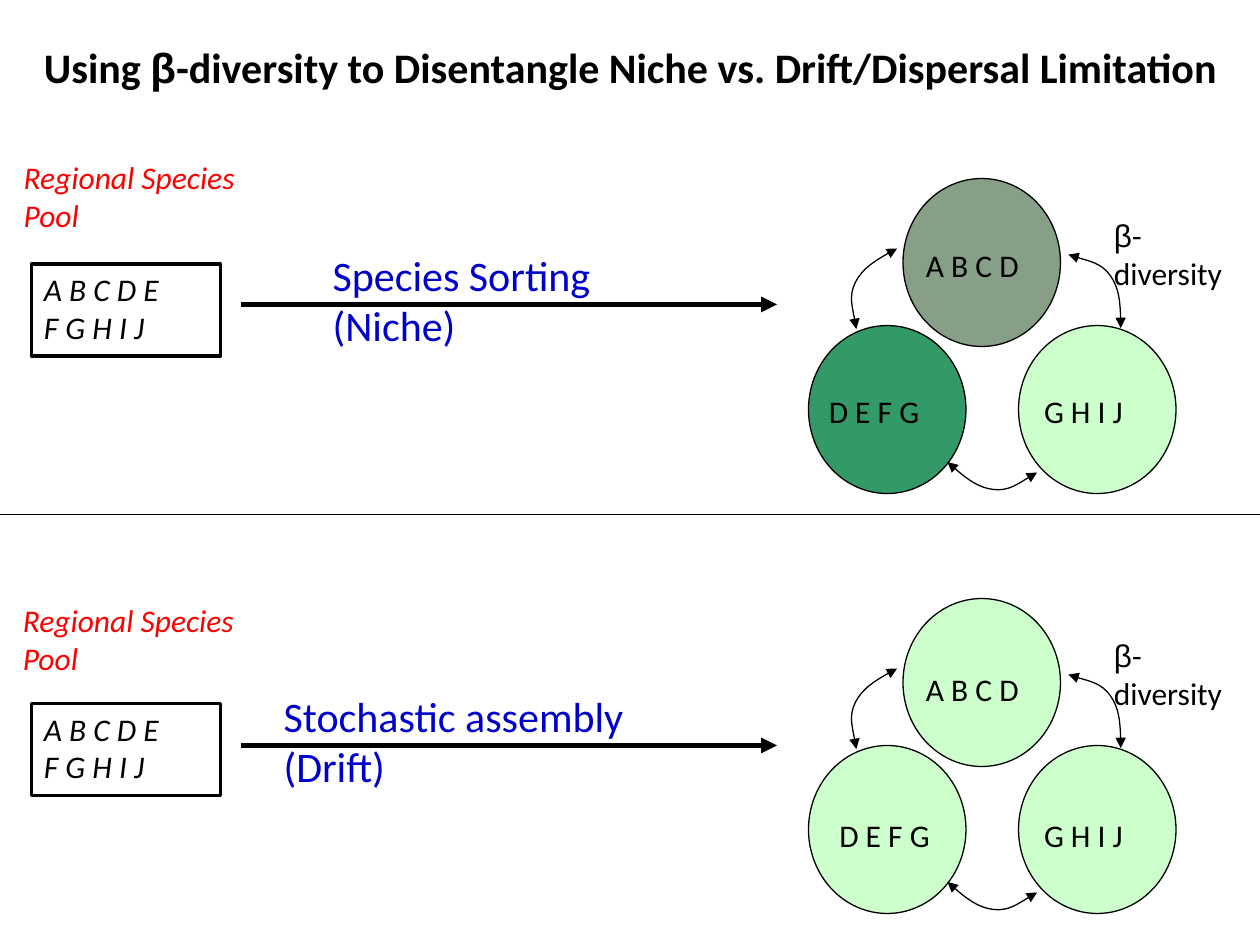
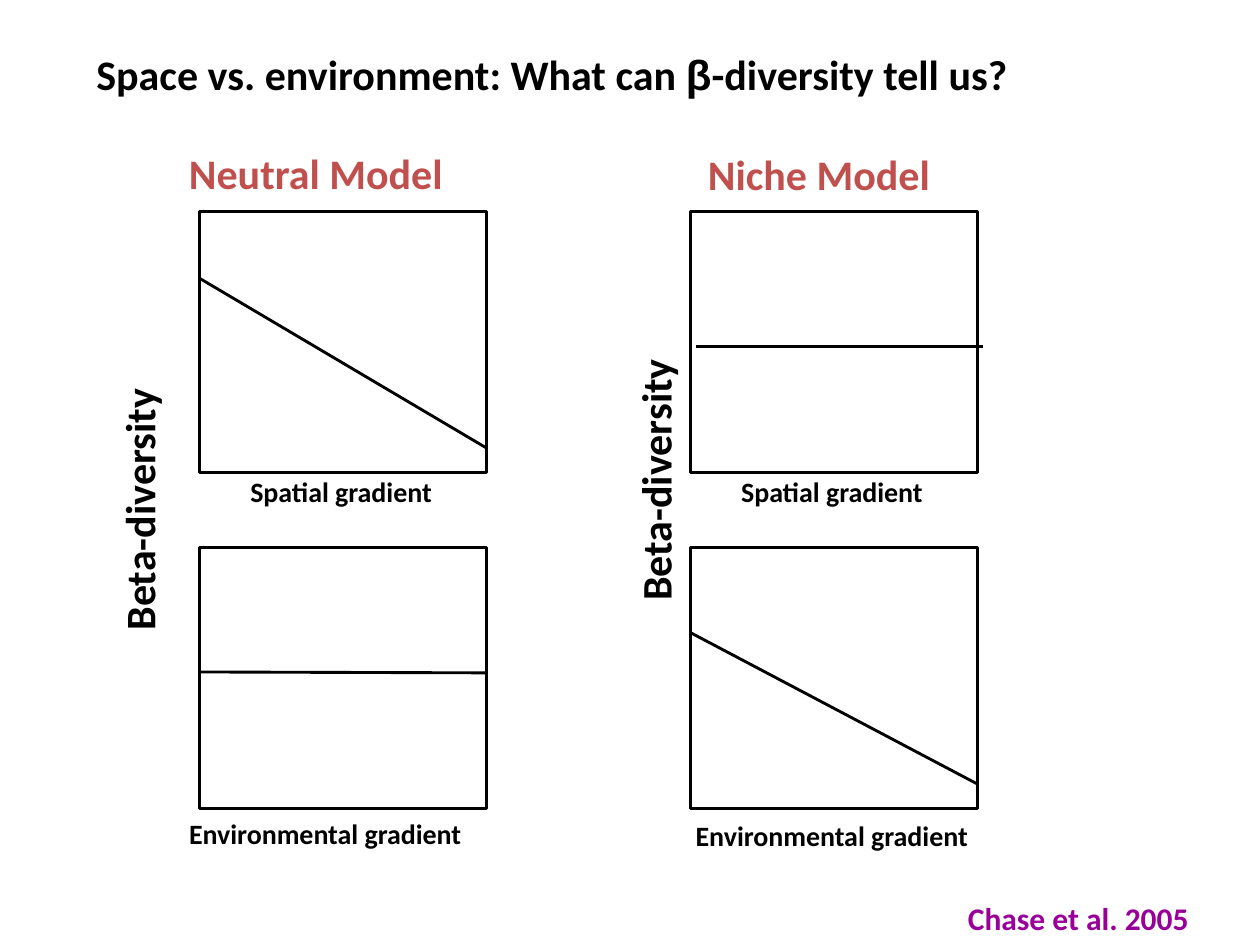
from lxml import etree
from pptx import Presentation
from pptx.dml.color import RGBColor
from pptx.enum import shapes, text
from pptx.oxml import ns
from pptx.util import Pt

BLACK = RGBColor(0x00, 0x00, 0x00)
RED = RGBColor(0xFF, 0x00, 0x00)
BLUE = RGBColor(0x00, 0x00, 0xCC)
BRICK = RGBColor(0xC0, 0x50, 0x4D)
PURPLE = RGBColor(0x99, 0x00, 0x99)
DARK_GREEN = RGBColor(0x00, 0x33, 0x00)
MID_GREEN = RGBColor(0x33, 0x99, 0x66)
PALE_GREEN = RGBColor(0xCC, 0xFF, 0xCC)

FONT, GREEK_FONT = "Calibri", "Arial"

# Content of slide 1: two assembly processes, one per half
SORTING_TITLE = "Using β-diversity to Disentangle Niche vs. Drift/Dispersal Limitation"
POOL_NAME = ["Regional Species", "Pool"]
POOL_SPECIES = ["A B C D E", "F G H I J"]
PROCESSES = [
    dict(name=["Species Sorting", "(Niche)"], name_at=(183, 139, 196), arrow_y=174,
         pool_name_at=(6.5, 87), pool_top=151, sites_top=102, names_top=137, names_left=466.5,
         fills=[(DARK_GREEN, 47), (PALE_GREEN, 100), (MID_GREEN, 100)]),
    dict(name=["Stochastic assembly", "(Drift)"], name_at=(155, 391, 252), arrow_y=426,
         pool_name_at=(6, 340), pool_top=402, sites_top=342, names_top=379.5, names_left=472.5,
         fills=[(PALE_GREEN, 100)] * 3),
]

# Site circles (left, drop below the top circle); exchange arcs (left, drop, rotation)
SITE_SIZE = (90, 96)
SITES = [(516, 0), (582, 84), (462, 84)]
ARC = [(0, 0), (9, 3), (19, 5), (24, 12), (29, 19), (29.5, 30), (30, 42)]
ARC_PLACES = [(610.5, 43.5, 0), (552, 144, 132.2), (486, 42, 242.4)]

# Content of slide 2: each plot has its line as (inset, start drop, end drop)
MODELS_TITLE = "Space vs. environment: What can β-diversity tell us?"
SOURCE = "Chase et al. 2005"
AXIS = "Beta-diversity"
GRADIENTS = [("Spatial gradient", 120), ("Environmental gradient", 178.5)]
PLOT_SIZE = (164, 149)
PLOT_TOPS = [121, 313]
MODELS = [
    dict(name="Neutral Model", name_at=(108, 84, 158.5), align="LEFT", left=114,
         axis_at=(9.5, 276), trends=[(0, 38, 135), (0, 71, 71.5)], captions=[(143, 271), (108, 466.5)]),
    dict(name="Niche Model", name_at=(397.5, 85, 141), align="CENTER", left=394.5,
         axis_at=(304.5, 259), trends=[(3, 77, 77), (0, 48.5, 135)], captions=[(423.5, 271), (397.5, 468)]),
]


def points(*values):
    return [Pt(value) for value in values]


def write(shape, lines, size=18, color=BLACK, bold=False, italic=False,
          align="LEFT", inset=True, wrap=False):
    """Fill a shape with paragraphs, setting each β in the Greek font."""
    frame = shape.text_frame
    frame.word_wrap = wrap
    frame.auto_size = text.MSO_AUTO_SIZE.SHAPE_TO_FIT_TEXT
    frame.vertical_anchor = text.MSO_ANCHOR.TOP
    if not inset:
        frame.margin_left = frame.margin_top = frame.margin_right = frame.margin_bottom = 0
    for number, line in enumerate([lines] if isinstance(lines, str) else lines):
        paragraph = frame.add_paragraph() if number else frame.paragraphs[0]
        paragraph.alignment = getattr(text.PP_ALIGN, align)
        before, beta, after = line.partition("β")
        for part in filter(None, (before, beta, after)):
            run = paragraph.add_run()
            run.text = part
            font = run.font
            font.name = GREEK_FONT if part == "β" else FONT
            font.size, font.bold, font.italic = Pt(size), bold, italic
            font.color.rgb = color


def add_text(slide, lines, left, top, width, height, rotation=0, **style):
    box = slide.shapes.add_textbox(*points(left, top, width, height))
    box.rotation = rotation
    write(box, lines, **style)


def add_title(slide, title, left, top, width):
    add_text(slide, title, left, top, width, 36, size=24, bold=True)


def outline(shape, weight):
    shape.line.color.rgb = BLACK
    shape.line.width = Pt(weight)


def add_arrowheads(shape, *ends):
    line = shape.line._get_or_add_ln()
    for end in ends:
        etree.SubElement(line, ns.qn(f"a:{end}"), type="triangle")


def add_shape(slide, kind, left, top, width, height, weight, fill=None, opacity=100):
    shape = slide.shapes.add_shape(kind, *points(left, top, width, height))
    shape.shadow.inherit = False
    outline(shape, weight)
    if fill is None:
        shape.fill.background()
    else:
        shape.fill.solid()
        shape.fill.fore_color.rgb = fill
        if opacity < 100:
            color = shape._element.spPr.find(f".//{ns.qn('a:srgbClr')}")
            etree.SubElement(color, ns.qn("a:alpha"), val=str(opacity * 1000))
    return shape


def add_line(slide, start, end, weight):
    line = slide.shapes.add_connector(shapes.MSO_CONNECTOR.STRAIGHT, *points(*start, *end))
    outline(line, weight)
    etree.SubElement(line._element.spPr, ns.qn("a:effectLst"))
    return line


def add_arc(slide, left, top, rotation):
    """Draw the double-headed exchange curve through its Bézier points."""
    builder = slide.shapes.build_freeform(*ARC[0], scale=Pt(1))
    builder.add_line_segments(ARC[1:], close=False)
    arc = builder.convert_to_shape(*points(left, top))
    steps = arc._element.spPr.findall(f".//{ns.qn('a:lnTo')}")
    outline_path = steps[0].getparent()
    for first in range(0, len(steps), 3):
        curve = etree.SubElement(outline_path, ns.qn("a:cubicBezTo"))
        for step in steps[first:first + 3]:
            curve.append(step[0])
            outline_path.remove(step)
    arc.shadow.inherit = False
    arc.fill.background()
    arc.rotation = rotation
    outline(arc, 0.75)
    add_arrowheads(arc, "headEnd", "tailEnd")


def add_process(slide, process):
    # Species pool and the arrow to the sites
    add_text(slide, POOL_NAME, *process["pool_name_at"], 168.5, 50.5, color=RED, italic=True)
    pool = add_shape(slide, shapes.MSO_SHAPE.RECTANGLE, 18, process["pool_top"], 108, 52.5, 2)
    write(pool, POOL_SPECIES, italic=True, wrap=True)
    arrow_y = process["arrow_y"]
    add_arrowheads(add_line(slide, (138, arrow_y), (444, arrow_y), 3), "tailEnd")
    add_text(slide, process["name"], *process["name_at"], 65, size=24, color=BLUE)

    # Sites and the exchange between them
    top = process["sites_top"]
    for (left, drop), (fill, opacity) in zip(SITES, process["fills"]):
        add_shape(slide, shapes.MSO_SHAPE.OVAL, left, top + drop, *SITE_SIZE, 0.75, fill, opacity)
    for left, drop, rotation in ARC_PLACES:
        add_arc(slide, left, top + drop, rotation)
    add_text(slide, ["β-", "diversity"], 629.5, top + 18, 88.5, 50.5)

    # Species at each site
    top = process["names_top"]
    for species, left, drop, width in [("A B C D", 522, 0, 81.5),
                                       ("D E F G", process["names_left"], 83.5, 79),
                                       ("G H I J", 589.5, 83.5, 76.5)]:
        add_text(slide, species, left, top + drop, width, 29)


def add_model(slide, model):
    add_text(slide, model["name"], *model["name_at"], 29, size=24, color=BRICK, bold=True,
             align=model["align"], inset=False)
    add_text(slide, AXIS, *model["axis_at"], 139.5, 29, rotation=270, size=24, bold=True, inset=False)
    left, width = model["left"], PLOT_SIZE[0]
    for top, trend, caption_at, (gradient, caption_width) in zip(
            PLOT_TOPS, model["trends"], model["captions"], GRADIENTS):
        inset, start, end = trend
        add_shape(slide, shapes.MSO_SHAPE.RECTANGLE, left, top, *PLOT_SIZE, 1.63)
        add_line(slide, (left + inset, top + start), (left + inset + width, top + end), 1.63)
        add_text(slide, gradient, *caption_at, caption_width, 19.5, size=16, bold=True, inset=False)


def main():
    presentation = Presentation()
    presentation.slide_width, presentation.slide_height = Pt(720), Pt(540)
    blank = presentation.slide_layouts[6]

    # Slide 1: niche against drift
    slide = presentation.slides.add_slide(blank)
    add_title(slide, SORTING_TITLE, 18, 20, 696)
    add_line(slide, (0, 294), (720, 294), 0.75)
    for process in PROCESSES:
        add_process(slide, process)

    # Slide 2: space against environment
    slide = presentation.slides.add_slide(blank)
    add_title(slide, MODELS_TITLE, 48, 24, 614)
    for model in MODELS:
        add_model(slide, model)
    add_text(slide, SOURCE, 546, 510, 160, 29, color=PURPLE, bold=True)

    presentation.save("out.pptx")


if __name__ == "__main__":
    main()
